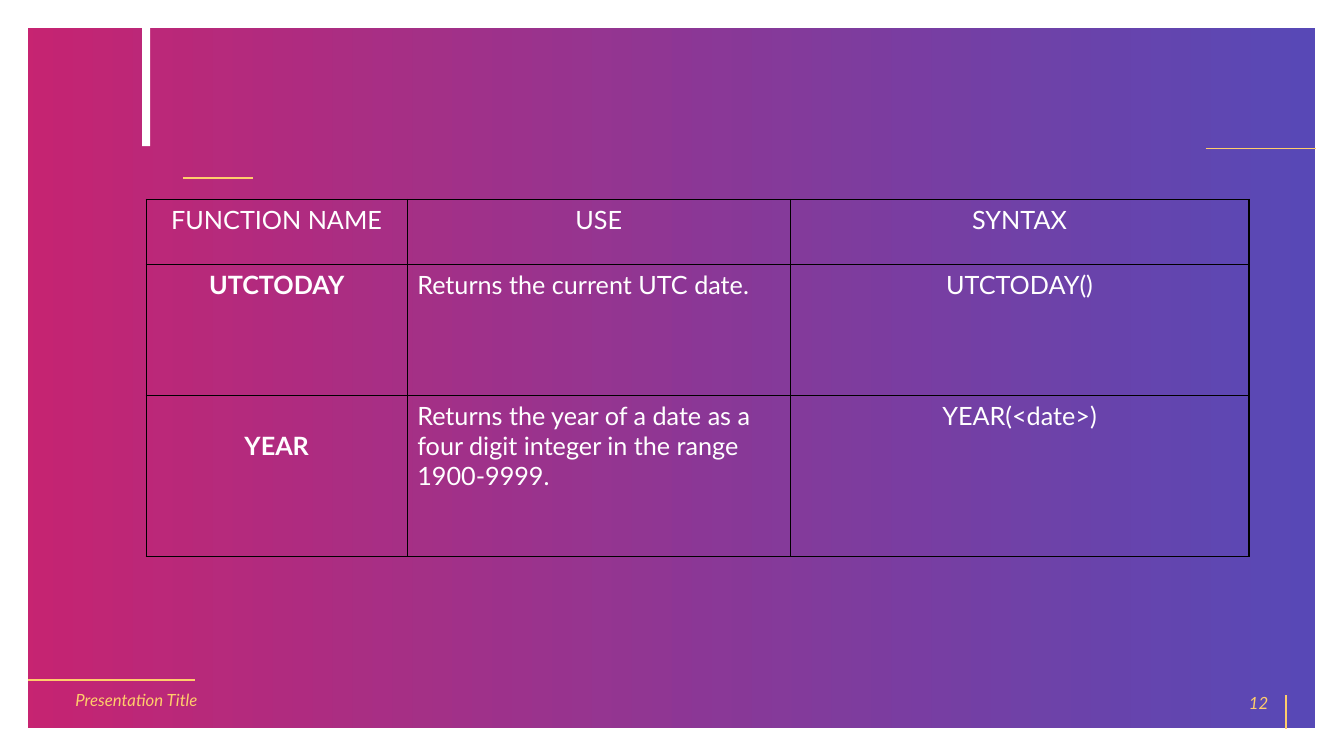
"""Build the slide with a table of DAX date functions on a gradient panel."""
from typing import NamedTuple

from lxml import etree
from pptx import Presentation
from pptx.dml.color import RGBColor
from pptx.enum.shapes import MSO_CONNECTOR, MSO_SHAPE
from pptx.enum.text import MSO_ANCHOR, PP_ALIGN
from pptx.oxml.ns import qn
from pptx.slide import Slide
from pptx.table import _Cell
from pptx.text.text import _Paragraph
from pptx.util import Pt

WHITE = RGBColor(0xFF, 0xFF, 0xFF)
BLACK = RGBColor(0x00, 0x00, 0x00)
GOLD = RGBColor(0xFF, 0xCD, 0x6B)
MAGENTA = RGBColor(0xBE, 0x00, 0x5A)
INDIGO = RGBColor(0x3B, 0x2C, 0xAC)
LEFT, CENTER, RIGHT = PP_ALIGN.LEFT, PP_ALIGN.CENTER, PP_ALIGN.RIGHT
MIDDLE = MSO_ANCHOR.MIDDLE
RECTANGLE, STRAIGHT = MSO_SHAPE.RECTANGLE, MSO_CONNECTOR.STRAIGHT

FOOTER_FORMAT = {"name": "Lato", "size": Pt(12), "italic": True}
CELL_FORMAT = {"name": "Lato", "size": Pt(18), "bold": False}
NAME_FORMAT = {**CELL_FORMAT, "bold": True}

COLUMN_WIDTHS = (186.5, 273.6, 327.6)
ROW_HEIGHTS = (46.4, 93.6, 115)
EXTRA_LINE = 21.6


class Rule(NamedTuple):
    """A straight accent line."""

    x1: float
    y1: float
    x2: float
    y2: float
    weight: float


class Footer(NamedTuple):
    """A text box at the foot of the page."""

    text: str
    left: float
    top: float
    width: float
    align: PP_ALIGN


class Entry(NamedTuple):
    """The text and layout of one table cell."""

    text: str
    align: PP_ALIGN = CENTER
    style: dict = CELL_FORMAT
    drop: float = 0


RULES = (
    Rule(131, 127.4, 180.7, 127.4, 1.5),
    Rule(861.1, 105.8, 940.3, 105.8, 0.5),
    Rule(918.7, 520.6, 918.7, 496.1, 1.5),
    Rule(20.2, 486, 139, 486, 1.5),
)
FOOTERS = (
    Footer("Presentation Title", 46.8, 485.3, 219.6, LEFT),
    Footer("12", 697, 487.4, 216, RIGHT),
)
ENTRIES = (
    (Entry("FUNCTION NAME"), Entry("USE"), Entry("SYNTAX")),
    (
        Entry("UTCTODAY", style=NAME_FORMAT),
        Entry("Returns the current UTC date.", LEFT),
        Entry("UTCTODAY()"),
    ),
    (
        Entry("YEAR", style=NAME_FORMAT, drop=EXTRA_LINE),
        Entry("Returns the year of a date as a four digit integer in the range 1900-9999.", LEFT),
        Entry("YEAR(<date>)"),
    ),
)


def write(para: _Paragraph, text: str, align: PP_ALIGN, style: dict, color: RGBColor) -> None:
    """Fill a paragraph with one formatted span."""
    para.alignment = align
    span = para.add_run()
    span.text = text
    for name, value in style.items():
        setattr(span.font, name, value)
    span.font.color.rgb = color


def add_panel(page: Slide) -> None:
    """Draw the framed gradient panel and the white bar."""
    panel = page.shapes.add_shape(RECTANGLE, Pt(9.4), Pt(9.4), Pt(941), Pt(521.3))
    panel.shadow.inherit = False
    panel.fill.gradient()
    panel.fill.gradient_angle = 0
    for stop, color in zip(panel.fill.gradient_stops, (MAGENTA, INDIGO)):
        stop.color.rgb = color
    for tint in panel.element.spPr.iter(qn("a:srgbClr")):
        etree.SubElement(tint, qn("a:alpha"), val="85000")
    panel.line.color.rgb = WHITE
    panel.line.width = Pt(21.5)

    bar = page.shapes.add_shape(RECTANGLE, Pt(101.5), Pt(19.4), Pt(5.8), Pt(85))
    bar.shadow.inherit = False
    bar.fill.solid()
    bar.fill.fore_color.rgb = WHITE
    bar.line.fill.background()


def add_rule(page: Slide, rule: Rule) -> None:
    """Draw one accent line."""
    line = page.shapes.add_connector(
        STRAIGHT, Pt(rule.x1), Pt(rule.y1), Pt(rule.x2), Pt(rule.y2)
    )
    line.line.color.rgb = GOLD
    line.line.width = Pt(rule.weight)
    etree.SubElement(line.element.spPr, qn("a:effectLst"))


def add_footer(page: Slide, footer: Footer) -> None:
    """Draw one footer text box."""
    box = page.shapes.add_textbox(Pt(footer.left), Pt(footer.top), Pt(footer.width), Pt(28.8))
    frame = box.text_frame
    frame.word_wrap = True
    frame.vertical_anchor = MIDDLE
    write(frame.paragraphs[0], footer.text, footer.align, FOOTER_FORMAT, GOLD)


def add_borders(cell: _Cell) -> None:
    """Give a cell a thin black border on every side."""
    properties = cell._tc.get_or_add_tcPr()
    for side in ("a:lnL", "a:lnR", "a:lnT", "a:lnB"):
        border = etree.SubElement(properties, qn(side), w=str(Pt(1)))
        fill = etree.SubElement(border, qn("a:solidFill"))
        etree.SubElement(fill, qn("a:srgbClr"), val=str(BLACK))


def add_function_table(page: Slide) -> None:
    """Draw the table of functions."""
    table = page.shapes.add_table(
        len(ROW_HEIGHTS), len(COLUMN_WIDTHS), Pt(104.4), Pt(142.4),
        Pt(sum(COLUMN_WIDTHS)), Pt(sum(ROW_HEIGHTS)),
    ).table
    table.first_row = False
    table.horz_banding = False
    for column, width in zip(table.columns, COLUMN_WIDTHS):
        column.width = Pt(width)
    for row, height, entries in zip(table.rows, ROW_HEIGHTS, ENTRIES):
        row.height = Pt(height)
        for cell, entry in zip(row.cells, entries):
            add_borders(cell)
            cell.fill.background()
            cell.margin_top = Pt(3.6 + entry.drop)
            write(cell.text_frame.paragraphs[0], entry.text, entry.align, entry.style, WHITE)


def main() -> None:
    """Build and save the deck."""
    deck = Presentation()
    deck.slide_width, deck.slide_height = Pt(960), Pt(540)
    page = deck.slides.add_slide(deck.slide_layouts[6])
    add_panel(page)
    for rule in RULES:
        add_rule(page, rule)
    for footer in FOOTERS:
        add_footer(page, footer)
    add_function_table(page)
    deck.save("out.pptx")


if __name__ == "__main__":
    main()
